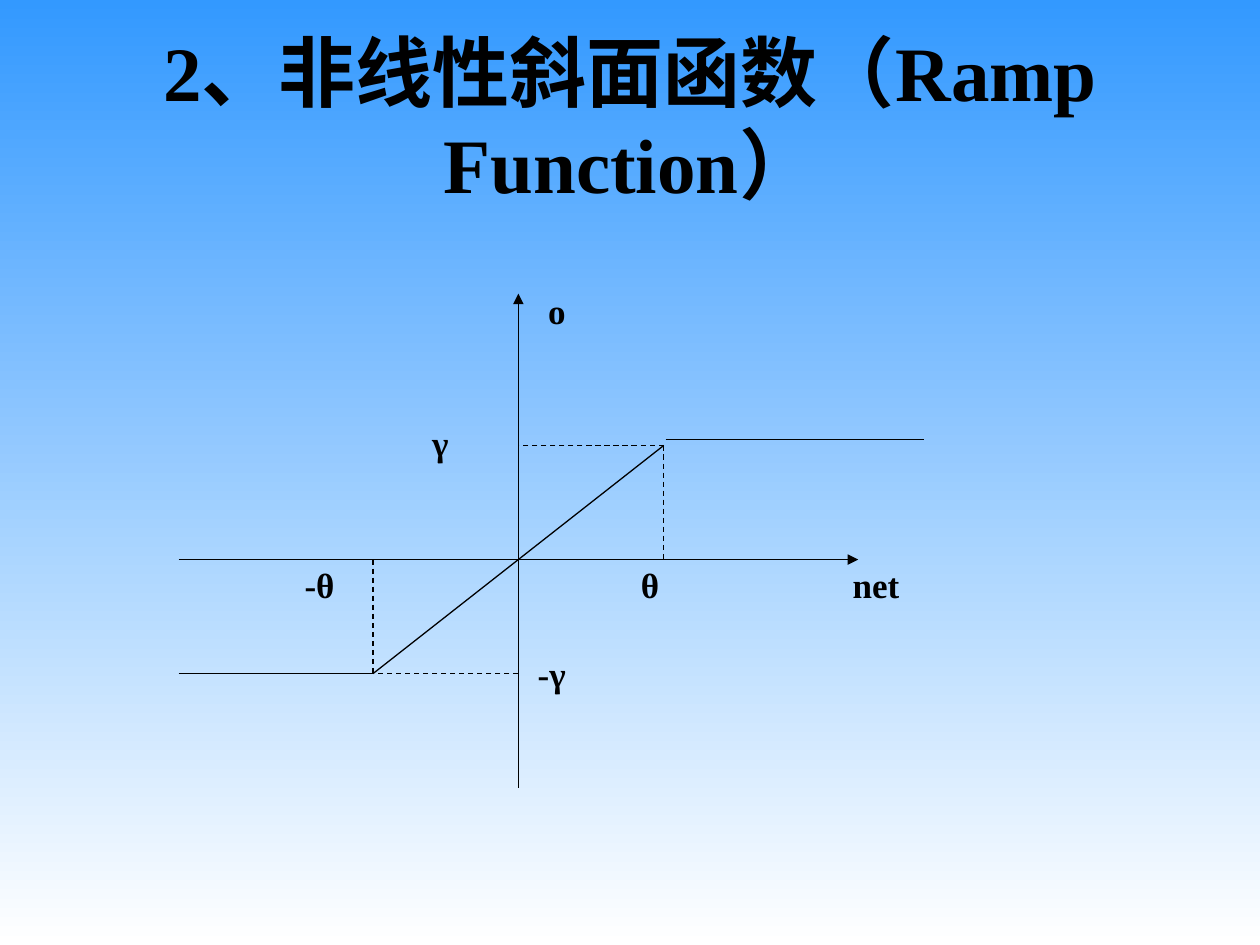
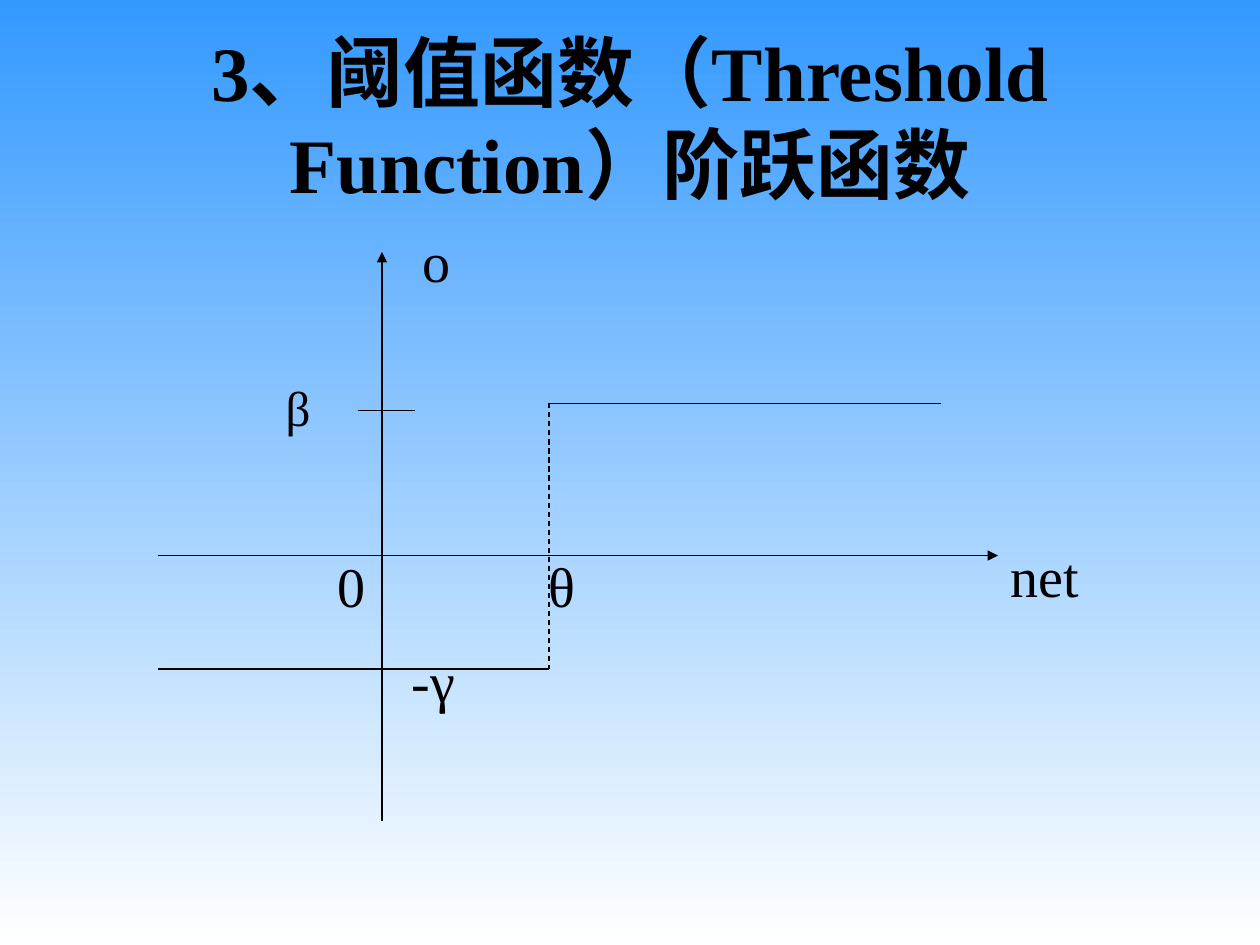
import pptx
import pptx.util
import pptx.dml.color
import pptx.enum.dml
import pptx.enum.shapes
import pptx.enum.text
import pptx.oxml
import pptx.oxml.ns
from lxml import etree

Cm = pptx.util.Cm
Pt = pptx.util.Pt

SKY = pptx.dml.color.RGBColor(0x33, 0x99, 0xFF)
WHITE = pptx.dml.color.RGBColor(0xFF, 0xFF, 0xFF)
BLACK = pptx.dml.color.RGBColor(0, 0, 0)
FONT = "Times New Roman"
TITLE_BOX = (1.27, 0.76, 22.86, 3.18)
LABEL_W, LABEL_H = 2.4, 1.6

RAMP_THETA, RAMP_GAMMA = 2.93, 2.3
STEP_THETA, STEP_GAMMA, STEP_BETA = 3.37, 2.29, 3.07

# Curves are offsets from the origin in cm, with y pointing up.
SLIDES = [
    {
        "title": "2、非线性斜面函数（Ramp Function）",
        "origin": (10.45, 11.28),
        "axes": [(-6.85, 0, 6.85, 0), (0, -4.6, 0, 5.36)],
        "solid": [
            (RAMP_THETA, RAMP_GAMMA, -RAMP_THETA, -RAMP_GAMMA),
            (-6.85, -RAMP_GAMMA, -RAMP_THETA, -RAMP_GAMMA),
            (2.97, 2.42, 8.17, 2.42),
        ],
        "dashed": [
            (0, -RAMP_GAMMA, -RAMP_THETA, -RAMP_GAMMA),
            (RAMP_THETA, RAMP_GAMMA, 0, RAMP_GAMMA),
            (RAMP_THETA, RAMP_GAMMA, RAMP_THETA, 0),
            (-RAMP_THETA, 0, -RAMP_THETA, -RAMP_GAMMA),
        ],
        "size": 20,
        "bold": True,
        "labels": [
            ("γ", 8.46, 8.46, {"spacing": 0.9}),
            ("-γ", 10.59, 13.13, {"spacing": 0.9}),
            ("θ", 12.67, 11.23, {}),
            ("-θ", 5.89, 11.23, {}),
            ("net", 16.94, 11.23, {}),
            ("o", 10.8, 5.72, {}),
        ],
    },
    {
        "title": "3、阈值函数（Threshold Function）阶跃函数",
        "origin": (7.7, 11.2),
        "axes": [(-4.52, 0, 12.42, 0), (0, -5.36, 0, 6.12)],
        "solid": [
            (-4.52, -STEP_GAMMA, STEP_THETA, -STEP_GAMMA),
            (STEP_THETA, STEP_BETA, 11.27, STEP_BETA),
            (-0.49, 2.92, 0.66, 2.92),
        ],
        "dashed": [(STEP_THETA, STEP_BETA, STEP_THETA, -STEP_GAMMA)],
        "size": 32,
        "bold": False,
        "labels": [
            ("β", 5.51, 7.62, {"spacing": 0.9, "size": 28}),
            ("-γ", 8.05, 12.9, {}),
            ("θ", 10.8, 11, {}),
            ("o", 8.26, 4.45, {}),
            ("net", 20.12, 10.8, {}),
            ("0", 6.55, 11, {}),
        ],
    },
]


def paint_background(master):
    fill = master.background.fill
    fill.gradient()
    fill.gradient_angle = 270
    for stop, color in zip(fill.gradient_stops, (SKY, WHITE)):
        stop.color.rgb = color


def add_text(slide, text, box, size, bold, spacing=1.0):
    sp = slide.shapes.add_textbox(*map(Cm, box))
    tf = sp.text_frame
    tf.word_wrap = True
    p = tf.paragraphs[0]
    p.text = text
    p.line_spacing = spacing
    p.font.name = FONT
    p.font.size = Pt(size)
    p.font.bold = bold
    p.font.color.rgb = BLACK
    return tf


def add_title(slide, text):
    tf = add_text(slide, text, TITLE_BOX, 44, True)
    tf.vertical_anchor = pptx.enum.text.MSO_ANCHOR.MIDDLE
    tf.paragraphs[0].alignment = pptx.enum.text.PP_ALIGN.CENTER


def add_line(slide, origin, ends, dashed=False, arrow=False):
    ox, oy = origin
    x1, y1, x2, y2 = ends
    line = slide.shapes.add_connector(
        pptx.enum.shapes.MSO_CONNECTOR.STRAIGHT,
        Cm(ox + x1), Cm(oy - y1), Cm(ox + x2), Cm(oy - y2))
    line.line.color.rgb = BLACK
    line.line.width = Pt(0.75)
    if dashed:
        line.line.dash_style = pptx.enum.dml.MSO_LINE.DASH
    if arrow:
        ln = line.line._get_or_add_ln()
        etree.SubElement(ln, pptx.oxml.ns.qn("a:tailEnd"), type="triangle")
    etree.SubElement(line._element.spPr, pptx.oxml.ns.qn("a:effectLst"))


def add_plot(slide, plot):
    for ends in plot["axes"]:
        add_line(slide, plot["origin"], ends, arrow=True)
    for ends in plot["solid"]:
        add_line(slide, plot["origin"], ends)
    for ends in plot["dashed"]:
        add_line(slide, plot["origin"], ends, dashed=True)
    for text, left, top, style in plot["labels"]:
        style = {"size": plot["size"], "bold": plot["bold"], **style}
        add_text(slide, text, (left, top, LABEL_W, LABEL_H), **style)


def main():
    prs = pptx.Presentation()
    prs.slide_width, prs.slide_height = Cm(25.4), Cm(19.05)
    paint_background(prs.slide_master)
    for plot in SLIDES:
        slide = prs.slides.add_slide(prs.slide_layouts[6])
        add_title(slide, plot["title"])
        add_plot(slide, plot)
    prs.save("out.pptx")


if __name__ == "__main__":
    main()
